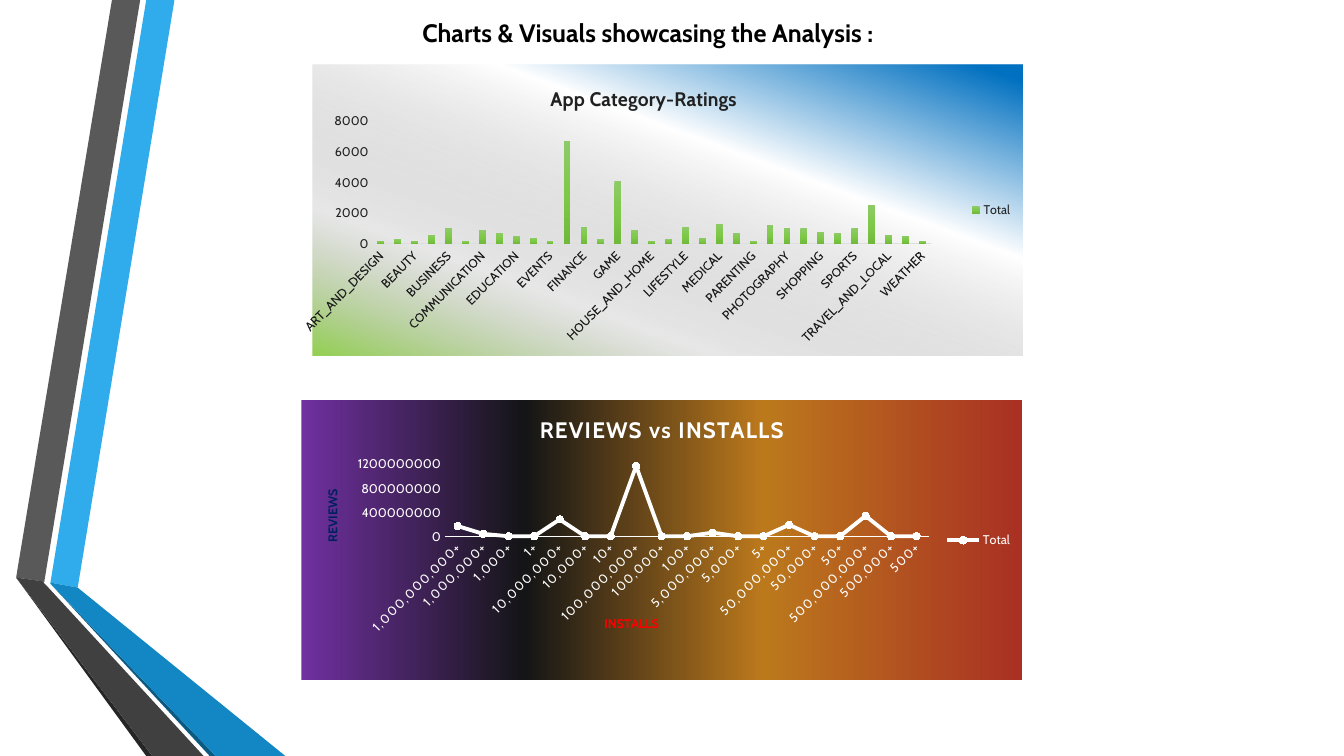
from lxml import etree
from pptx import Presentation
from pptx.chart.data import CategoryChartData
from pptx.dml.color import RGBColor
from pptx.enum.chart import XL_CHART_TYPE, XL_LEGEND_POSITION, XL_MARKER_STYLE, XL_TICK_MARK
from pptx.oxml import parse_xml
from pptx.oxml.ns import nsdecls, qn
from pptx.util import Inches, Pt

COLUMNS = XL_CHART_TYPE.COLUMN_CLUSTERED
LINE = XL_CHART_TYPE.LINE_MARKERS
LEGEND_RIGHT = XL_LEGEND_POSITION.RIGHT
CIRCLE = XL_MARKER_STYLE.CIRCLE
NO_TICK = XL_TICK_MARK.NONE
FONT = "Cabin"
BLACK, WHITE, INK = "000000", "FFFFFF", "212121"

# Ribbon bands: colour and corners in percent of the slide's width and height
RIBBON = [
    ("30ACEC", [(3.75, 77.07), (5.78, 77.73), (12.98, 0), (10.88, 0)]),
    ("595959", [(10.43, 0), (8.33, 0), (1.2, 76.4), (3.3, 76.93)]),
    ("262626", [(1.2, 76.4), (10.88, 100), (11.33, 100)]),
    ("0C5A82", [(3.75, 77.2), (15.6, 100), (16.05, 100)]),
    ("1287C3", [(3.75, 77.2), (16.05, 100), (21.23, 100), (5.78, 77.73), (3.75, 77.07)]),
    ("404040", [(15.15, 100), (3.6, 77.73), (3.23, 77.07), (3.3, 76.93), (1.2, 76.4), (11.33, 100)]),
]

RATINGS = {
    "ART_AND_DESIGN": 200, "AUTO_AND_VEHICLES": 300, "BEAUTY": 200,
    "BOOKS_AND_REFERENCE": 600, "BUSINESS": 1000, "COMICS": 200,
    "COMMUNICATION": 900, "DATING": 700, "EDUCATION": 500,
    "ENTERTAINMENT": 400, "EVENTS": 200, "FAMILY": 6700, "FINANCE": 1100,
    "FOOD_AND_DRINK": 300, "GAME": 4100, "HEALTH_AND_FITNESS": 900,
    "HOUSE_AND_HOME": 200, "LIBRARIES_AND_DEMO": 300, "LIFESTYLE": 1100,
    "MAPS_AND_NAVIGATION": 400, "MEDICAL": 1300, "NEWS_AND_MAGAZINES": 700,
    "PARENTING": 200, "PERSONALIZATION": 1200, "PHOTOGRAPHY": 1000,
    "PRODUCTIVITY": 1000, "SHOPPING": 800, "SOCIAL": 700, "SPORTS": 1000,
    "TOOLS": 2500, "TRAVEL_AND_LOCAL": 600, "VIDEO_PLAYERS": 500, "WEATHER": 200,
}
MILLION = 1_000_000
REVIEWS_IN_MILLIONS = {
    "1,000,000,000+": 170, "1,000,000+": 40, "1,000+": 0, "1+": 0,
    "10,000,000+": 280, "10,000+": 0, "10+": 0, "100,000,000+": 1170,
    "100,000+": 0, "100+": 0, "5,000,000+": 60, "5,000+": 0, "5+": 0,
    "50,000,000+": 190, "50,000+": 0, "50+": 0, "500,000,000+": 340,
    "500,000+": 0, "500+": 0,
}


def color(value):
    return RGBColor.from_string(value)


def set_gradient(properties, stops, angle):
    """Stops are (percent, colour) or (percent, colour, opacity percent)."""
    gradient = etree.Element(qn("a:gradFill"), rotWithShape="1")
    stop_list = etree.SubElement(gradient, qn("a:gsLst"))
    for percent, value, *opacity in stops:
        stop = etree.SubElement(stop_list, qn("a:gs"), pos=str(percent * 1000))
        tone = etree.SubElement(stop, qn("a:srgbClr"), val=value)
        if opacity:
            etree.SubElement(tone, qn("a:alpha"), val=str(opacity[0] * 1000))
    etree.SubElement(gradient, qn("a:lin"), ang=str(angle * 60000), scaled="0")
    properties.insert(0, gradient)


def set_layout(owner, index, **shares):
    """Place a chart part by shares of the chart's size."""
    for old in owner.findall(qn("c:layout")):
        owner.remove(old)
    layout = etree.Element(qn("c:layout"))
    manual = etree.SubElement(layout, qn("c:manualLayout"))
    if "w" in shares:
        etree.SubElement(manual, qn("c:layoutTarget"), val="inner")
    for mode in ("xMode", "yMode"):
        etree.SubElement(manual, qn("c:" + mode), val="edge")
    for side, share in shares.items():
        etree.SubElement(manual, qn("c:" + side), val=str(share))
    owner.insert(index, layout)


class Slide:
    def __init__(self, deck):
        self.width, self.height = deck.slide_width, deck.slide_height
        self.shapes = deck.slides.add_slide(deck.slide_layouts[6]).shapes

    def place(self, x, y):
        return round(self.width * x / 100), round(self.height * y / 100)

    def style(self, font, size, value, bold=False, spacing=0):
        font.name, font.size, font.bold = FONT, Pt(size), bold
        font.color.rgb = color(value)
        if spacing:
            font._element.set("spc", str(spacing * 100))

    def band(self, fill, corners):
        start, *others = [self.place(*corner) for corner in corners]
        builder = self.shapes.build_freeform(*start)
        builder.add_line_segments(others, close=True)
        band = builder.convert_to_shape()
        band.shadow.inherit = False
        band.fill.solid()
        band.fill.fore_color.rgb = color(fill)
        band.line.fill.background()

    def heading(self, text, x, y, w, h):
        frame = self.shapes.add_textbox(*self.place(x, y), *self.place(w, h)).text_frame
        frame.word_wrap = True
        frame.text = text
        self.style(frame.paragraphs[0].runs[0].font, 18, BLACK, bold=True)

    def chart_label(self, title, text, size, value, spacing=0, at=None):
        title.text_frame.text = text
        self.style(title.text_frame.paragraphs[0].runs[0].font, size, value, True, spacing)
        if at:
            set_layout(title._element, 1, x=at[0], y=at[1])

    def chart(self, kind, values, y, h, plot, top, step, ink, axis_line, background, angle, spacing=0):
        data = CategoryChartData()
        data.categories = list(values)
        data.add_series("Total", list(values.values()))
        chart = self.shapes.add_chart(
            kind, *self.place(22.43, y), *self.place(53.64, h), data).chart
        self.style(chart.font, 10, BLACK)
        chart.has_legend = True
        chart.legend.position = LEGEND_RIGHT
        chart.legend.include_in_layout = False
        self.style(chart.legend.font, 9, ink)
        set_layout(chart._chartSpace.chart.plotArea, 0, **dict(zip("xywh", plot)))

        # Background
        area = parse_xml(f"<c:spPr {nsdecls('c', 'a')}><a:ln><a:noFill/></a:ln></c:spPr>")
        set_gradient(area, background, angle)
        chart._chartSpace.find(qn("c:txPr")).addprevious(area)

        # Axes
        categories, scale = chart.category_axis, chart.value_axis
        for axis in (categories, scale):
            axis.has_major_gridlines = False
            axis.major_tick_mark = axis.minor_tick_mark = NO_TICK
        self.style(categories.tick_labels.font, 9, ink, spacing=spacing)
        self.style(scale.tick_labels.font, 9, ink)
        categories._element.find(qn("c:txPr")).find(qn("a:bodyPr")).set("rot", "-2700000")
        categories.format.line.color.rgb = color(axis_line[0])
        categories.format.line.width = Pt(axis_line[1])
        scale.format.line.fill.background()
        scale.minimum_scale, scale.maximum_scale, scale.major_unit = 0, top, step
        scale.tick_labels.number_format = "General"
        scale.tick_labels.number_format_is_linked = False
        return chart


def main():
    deck = Presentation()
    deck.slide_width, deck.slide_height = Inches(13.33), Inches(7.5)
    slide = Slide(deck)

    # Ribbon on the left
    for fill, corners in RIBBON:
        slide.band(fill, corners)

    # Ratings by category
    ratings = slide.chart(
        COLUMNS, RATINGS, 8.53, 38.53, (0.084, 0.194, 0.787, 0.422), 8000, 2000,
        INK, ("DEDEDE", 0.75),
        [(3, "0070C0"), (35, WHITE), (73, "A6A6A6", 26), (100, "92D050")], 110)
    slide.chart_label(ratings.chart_title, "App Category-Ratings", 14, INK, at=(0.33, 0.06))
    bars = ratings.plots[0]
    bars.gap_width, bars.vary_by_categories = 150, False
    set_gradient(bars.series[0]._element.get_or_add_spPr(),
                 [(0, "8ECA68"), (50, "7FC949"), (100, "70B93B")], 90)

    slide.heading("Charts & Visuals showcasing the Analysis :", 30.68, 1.6, 77.12, 5.33)

    # Reviews by installs
    reviews = slide.chart(
        LINE, {installs: count * MILLION for installs, count in REVIEWS_IN_MILLIONS.items()},
        52.93, 37.07, (0.199, 0.229, 0.672, 0.257), 1200 * MILLION, 400 * MILLION,
        WHITE, (WHITE, 1),
        [(0, "7030A0"), (31, "141516"), (64, "BC791C"), (100, "A93023")], 0, spacing=1)
    slide.chart_label(reviews.chart_title, "REVIEWS vs INSTALLS", 16, WHITE, spacing=1)
    slide.chart_label(reviews.category_axis.axis_title, "INSTALLS", 9, "FF0000", at=(0.417, 0.755))
    review_title = reviews.value_axis.axis_title
    slide.chart_label(review_title, "REVIEWS", 9, "002060", at=(0.027, 0.31))
    review_title.text_frame._txBody.bodyPr.set("rot", "-5400000")
    reviews.plots[0].vary_by_categories = False
    total = reviews.plots[0].series[0]
    total.smooth = False
    total.format.line.color.rgb = color(WHITE)
    total.format.line.width = Pt(2.75)
    total.marker.style, total.marker.size = CIRCLE, 5
    total.marker.format.fill.solid()
    total.marker.format.fill.fore_color.rgb = color(WHITE)
    total.marker.format.line.color.rgb = color(WHITE)

    deck.save("out.pptx")


if __name__ == "__main__":
    main()
